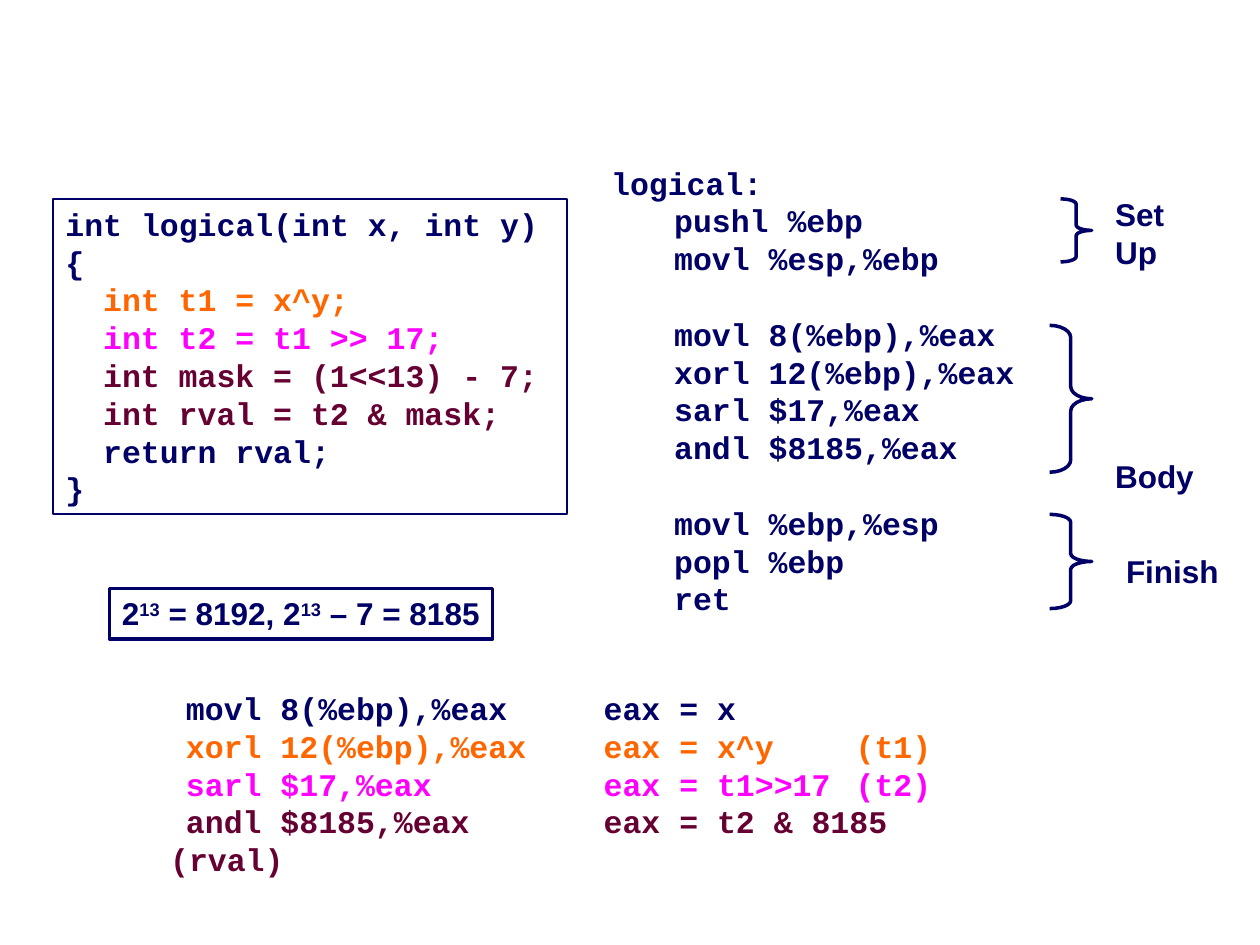
from copy import deepcopy

from lxml.etree import SubElement
from pptx import Presentation
from pptx.dml.color import RGBColor
from pptx.enum.shapes import MSO_SHAPE
from pptx.enum.text import MSO_ANCHOR
from pptx.oxml.ns import qn
from pptx.util import Cm, Pt

NAVY, ORANGE, PINK, MAROON = "000066", "FF6600", "FF00FF", "660033"
CODE, LABEL = "Courier New", "Arial"
INDENT = Cm(0.76)
LINE = Pt(21.6)


def rgb(value):
    return RGBColor.from_string(value)


def write(sp, lines, font, tabs=()):
    """Fill a shape from (text, colour, indent, space before) tuples, with tab stops in cm."""
    tf = sp.text_frame
    tf.word_wrap = True
    tf.vertical_anchor = MSO_ANCHOR.TOP
    tf.margin_left, tf.margin_right = Cm(0.25), 0
    tf.margin_top = tf.margin_bottom = Cm(0.12)
    for i, (text, color, indent, before) in enumerate(lines):
        p = tf.add_paragraph() if i else tf.paragraphs[0]
        p.text = text
        p.line_spacing, p.space_before = LINE, before
        pPr = p._p.get_or_add_pPr()
        pPr.set("marL", str(indent))
        pPr.set("algn", "l")
        if tabs:
            tab_list = SubElement(pPr, qn("a:tabLst"))
            for stop in tabs:
                SubElement(tab_list, qn("a:tab"), pos=str(Cm(stop)), algn="l")
        for r in p.runs:
            r.font.name, r.font.size, r.font.bold = font, Pt(18), True
            r.font.color.rgb = rgb(color)


prs = Presentation()
prs.slide_width, prs.slide_height = Cm(25.4), Cm(19.05)
s = prs.slides.add_slide(prs.slide_layouts[6])

# Framed boxes: C source and the mask constant
frames = []
for box, weight in [((1.07, 4.01, 10.36, 6.35), 1), ((2.21, 11.86, 7.72, 1.02), 2)]:
    sp = s.shapes.add_shape(MSO_SHAPE.RECTANGLE, *map(Cm, box))
    sp.shadow.inherit = False
    sp.fill.background()
    sp.line.color.rgb = rgb(NAVY)
    sp.line.width = Pt(weight)
    frames.append(sp)
source, constant = frames

write(source, [
    ("int logical(int x, int y)", NAVY, 0, 0),
    ("{", NAVY, 0, 0),
    ("int t1 = x^y;", ORANGE, INDENT, 0),
    ("int t2 = t1 >> 17;", PINK, INDENT, 0),
    ("int mask = (1<<13) - 7;", MAROON, INDENT, 0),
    ("int rval = t2 & mask;", MAROON, INDENT, 0),
    ("return rval;", NAVY, INDENT, 0),
    ("}", NAVY, 0, 0),
], CODE)

# The constant is one line whose exponents are superscript runs
write(constant, [("2", NAVY, 0, 0)], LABEL)
p = constant.text_frame.paragraphs[0]
pieces = ["2", "13", " = 8192, 2", "13", " – 7 = 8185"]
for _ in pieces[1:]:
    p._p.append(deepcopy(p.runs[0]._r))
for r, piece in zip(p.runs, pieces):
    r.text = piece
    if piece == "13":
        r._r.get_or_add_rPr().set("baseline", "30000")

# Assembly listing, with a one-line gap before the body and the finish
assembly = [("logical:", NAVY, 0, 0)]
sections = [
    ["pushl %ebp", "movl %esp,%ebp"],
    ["movl 8(%ebp),%eax", "xorl 12(%ebp),%eax", "sarl $17,%eax", "andl $8185,%eax"],
    ["movl %ebp,%esp", "popl %ebp", "ret"],
]
for n, section in enumerate(sections):
    for i, instruction in enumerate(section):
        gap = LINE if n and i == 0 else 0
        assembly.append(("\t" + instruction, NAVY, 0, gap))
sp = s.shapes.add_textbox(Cm(12.07), Cm(3.18), Cm(11.43), Cm(9.4))
write(sp, assembly, CODE, tabs=[1.27])

# Braces and their labels
for words, label_box, (left, top, width, height) in [
    (["Set", "Up"], (22.23, 3.81, 1.5, 1.78), (21.38, 4.01, 0.63, 1.27)),
    (["Body"], (22.23, 9.09, 2.08, 1.02), (21.16, 6.56, 0.85, 2.96)),
    (["Finish"], (22.45, 11, 2.36, 1.02), (21.16, 10.37, 0.85, 1.9)),
]:
    sp = s.shapes.add_shape(MSO_SHAPE.RIGHT_BRACE, Cm(left), Cm(top), Cm(width), Cm(height))
    sp.adjustments[0] = height / width / 12
    sp.shadow.inherit = False
    sp.fill.background()
    sp.line.color.rgb = rgb(NAVY)
    sp.line.width = Pt(2)
    sp = s.shapes.add_textbox(*map(Cm, label_box))
    write(sp, [(word, NAVY, 0, 0) for word in words], LABEL)

# Register contents after each body instruction
sp = s.shapes.add_textbox(Cm(3.18), Cm(13.77), Cm(17.98), Cm(4.06))
write(sp, [
    ("\tmovl 8(%ebp),%eax\teax = x", NAVY, 0, 0),
    ("\txorl 12(%ebp),%eax\teax = x^y\t(t1)", ORANGE, 0, 0),
    ("\tsarl $17,%eax\teax = t1>>17\t(t2)", PINK, 0, 0),
    ("\tandl $8185,%eax\teax = t2 & 8185\v(rval)", MAROON, 0, 0),
], CODE, tabs=[0.32, 8.74, 13.82])

prs.save("out.pptx")
